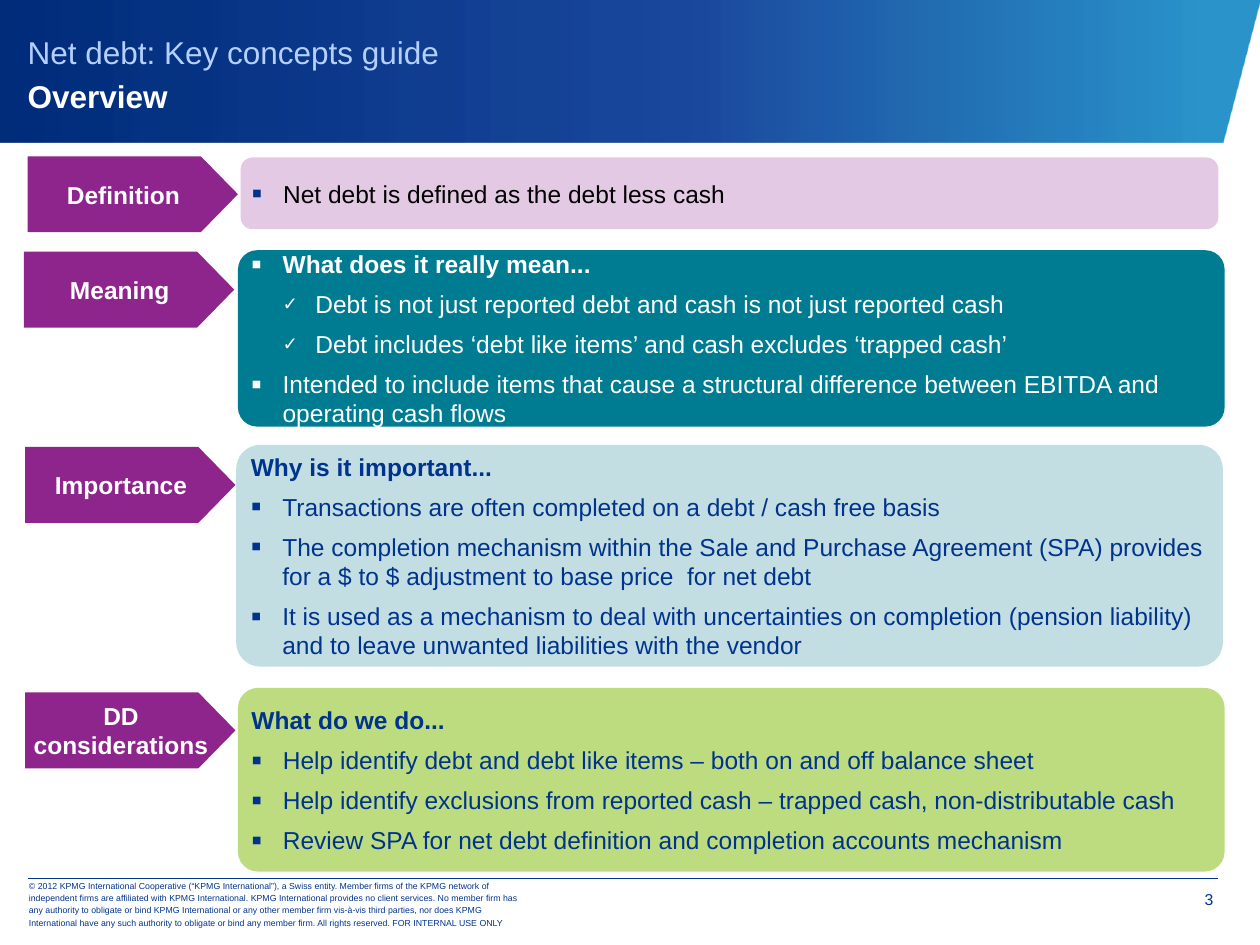
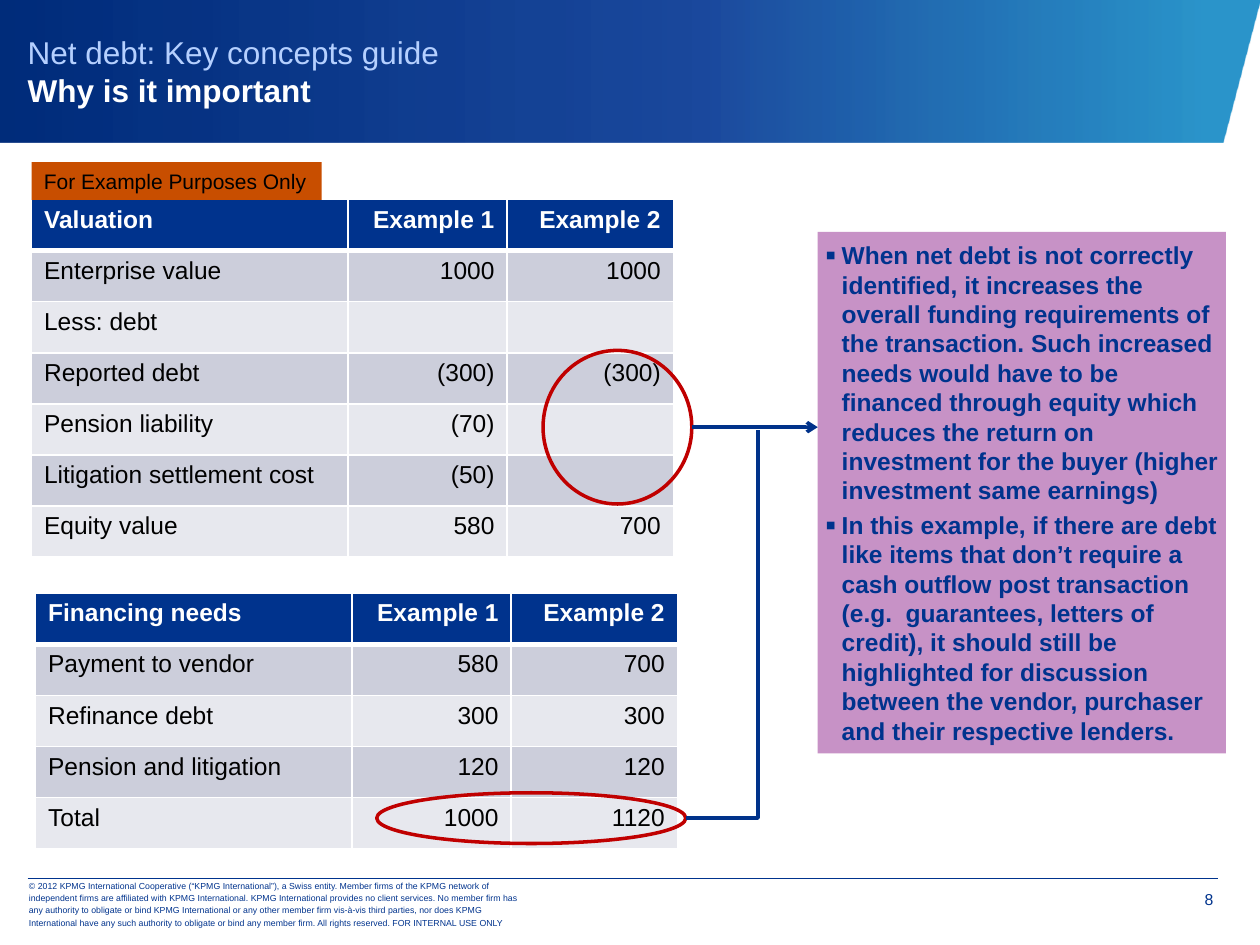
from dataclasses import dataclass
from lxml.etree import SubElement
from pptx import Presentation
from pptx.dml.color import RGBColor
from pptx.enum.shapes import MSO_CONNECTOR, MSO_SHAPE
from pptx.enum.text import MSO_ANCHOR, PP_ALIGN
from pptx.oxml import parse_xml
from pptx.oxml.ns import nsdecls, qn
from pptx.util import Pt


@dataclass(frozen=True)
class Theme:
    font: str = "Arial"
    navy: str = "00338D"
    sky: str = "B5D0FF"
    white: str = "FFFFFF"
    black: str = "000000"
    plum: str = "8E258D"
    pink: str = "E3C9E3"
    teal: str = "007C92"
    ice: str = "C3DEE2"
    lime: str = "BDDC80"
    mauve: str = "C792C6"
    rust: str = "C84E00"
    red: str = "C00000"
    link: str = "00328A"
    bands: tuple = ("E7E8EE", "CCCEDB")
    fade: tuple = ((0, "002C7A", 100), (56, "003492", 89), (96, "0080C0", 83))
    title: int = 18
    body: int = 14
    note: int = 12
    page: int = 9
    legal: int = 5


theme = Theme()
rgb = RGBColor.from_string


def block(slide, kind, area, fill=None, edge=None):
    shape = slide.shapes.add_shape(kind, *map(Pt, area))
    shape.shadow.inherit = False
    if fill:
        shape.fill.solid()
        shape.fill.fore_color.rgb = rgb(fill)
    else:
        shape.fill.background()
    if edge:
        shape.line.color.rgb = rgb(edge)
        shape.line.width = Pt(2)
    else:
        shape.line.fill.background()
    frame = shape.text_frame
    frame.vertical_anchor = MSO_ANCHOR.MIDDLE
    frame.margin_left = frame.margin_right = Pt(4.3)
    frame.margin_top = frame.margin_bottom = Pt(4.3)
    return shape


def write(frame, text, hue, size=theme.body, bold=False, align=PP_ALIGN.LEFT,
          mark=None, gap=0):
    first = not frame.paragraphs[0].runs
    para = frame.paragraphs[0] if first else frame.add_paragraph()
    if mark:
        sign, inset, hang, scale, tint = mark
        props = para._p.get_or_add_pPr()
        props.set("marL", str(Pt(inset)))
        props.set("indent", str(-Pt(hang)))
        color = SubElement(props, qn("a:buClr"))
        SubElement(color, qn("a:srgbClr"), val=tint)
        SubElement(props, qn("a:buSzPct"), val=str(scale * 1000))
        SubElement(props, qn("a:buFont"), typeface=theme.font)
        SubElement(props, qn("a:buChar"), char=sign)
    para.alignment = align
    para.space_before = Pt(0 if first else gap)
    para.font.name = theme.font
    para.font.size = Pt(size)
    para.font.bold = bold
    para.font.color.rgb = rgb(hue)
    para.add_run().text = text
    return para


deck = Presentation()
deck.slide_width, deck.slide_height = Pt(720), Pt(540)

legal = (
    "© 2012 KPMG International Cooperative (“KPMG International”), a Swiss entity. "
    "Member firms of the KPMG network of independent firms are affiliated with KPMG "
    "International. KPMG International provides no client services. No member firm has "
    "any authority to obligate or bind KPMG International or any other member firm "
    "vis-à-vis third parties, nor does KPMG International have any such authority to "
    "obligate or bind any member firm. All rights reserved. FOR INTERNAL USE ONLY"
)

slides = []
for name, page, pitch in (("Overview", "3", Pt(25)), ("Why is it important", "8", None)):
    slide = deck.slides.add_slide(deck.slide_layouts[6])
    slides.append(slide)

    draft = slide.shapes.build_freeform(0, Pt(81.4))
    draft.add_line_segments([(Pt(x), Pt(y)) for x, y in ((698.5, 81.4), (720, 0), (0, 0))])
    band = draft.convert_to_shape()
    band.shadow.inherit = False
    band.line.fill.background()
    band.fill.gradient()
    band.fill.gradient_angle = 0
    stops = band._element.spPr.find(qn("a:gradFill")).find(qn("a:gsLst"))
    for stop in list(stops):
        stops.remove(stop)
    for place, hue, alpha in theme.fade:
        stop = SubElement(stops, qn("a:gs"), pos=str(place * 1000))
        color = SubElement(stop, qn("a:srgbClr"), val=hue)
        SubElement(color, qn("a:alpha"), val=str(alpha * 1000))

    frame = slide.shapes.add_textbox(Pt(653.8), Pt(502.6), Pt(39.6), Pt(22.3)).text_frame
    frame.word_wrap = True
    frame.margin_left = frame.margin_top = Pt(5.8)
    frame.margin_right = frame.margin_bottom = 0
    write(frame, page, theme.navy, theme.page, align=PP_ALIGN.RIGHT)

    frame = slide.shapes.add_textbox(Pt(9.4), Pt(503.6), Pt(298.8), Pt(25.2)).text_frame
    frame.word_wrap = True
    frame.vertical_anchor = MSO_ANCHOR.MIDDLE
    write(frame, legal, theme.navy, theme.legal).line_spacing = Pt(7)

    rule = slide.shapes.add_connector(
        MSO_CONNECTOR.STRAIGHT, Pt(15.8), Pt(501.8), Pt(696.2), Pt(501.8))
    rule.line.color.rgb = rgb(theme.navy)
    rule.line.width = Pt(0.25)
    SubElement(rule._element.spPr, qn("a:effectLst"))

    frame = slide.shapes.add_textbox(Pt(15.8), Pt(9.4), Pt(673.2), Pt(62.6)).text_frame
    frame.word_wrap = True
    frame.vertical_anchor = MSO_ANCHOR.MIDDLE
    frame.margin_left = frame.margin_right = frame.margin_top = frame.margin_bottom = 0
    para = write(frame, "Net debt: Key concepts guide", theme.sky, theme.title)
    para.line_spacing = pitch
    para.add_line_break()
    run = para.add_run()
    run.text = name
    run.font.bold = True
    run.font.color.rgb = rgb(theme.white)

view, case = slides

dot = ("▪", 18, 18, 125, theme.navy)
pale = (*dot[:4], theme.white)
tick = ("✓", 36.7, 18.7, 75, theme.white)
topics = (
    ("Definition", (15.8, 89.3), (137.5, 90, 558.7, 41), theme.pink, theme.black, 0.167, (
        (dot, False, "Net debt is defined as the debt less cash"),
    )),
    ("Meaning", (13.7, 143.8), (136, 143, 563.8, 100.8), theme.teal, theme.white, 0.109, (
        (pale, True, "What does it really mean..."),
        (tick, False, "Debt is not just reported debt and cash is not just reported cash"),
        (tick, False, "Debt includes ‘debt like items’ and cash excludes ‘trapped cash’"),
        (pale, False, "Intended to include items that cause a structural difference "
                      "between EBITDA and operating cash flows"),
    )),
    ("Importance", (14.4, 255.4), (135, 254.2, 563.8, 126.7), theme.ice, theme.navy, 0.109, (
        (None, True, "Why is it important..."),
        (dot, False, "Transactions are often completed on a debt / cash free basis"),
        (dot, False, "The completion mechanism within the Sale and Purchase Agreement "
                     "(SPA) provides for a $ to $ adjustment to base price  for net debt"),
        (dot, False, "It is used as a mechanism to deal with uncertainties on completion "
                     "(pension liability) and to leave unwanted liabilities with the vendor"),
    )),
    ("DD considerations", (14.4, 395.7), (136, 393.1, 563.8, 105), theme.lime, theme.navy, 0.109, (
        (None, True, "What do we do..."),
        (dot, False, "Help identify debt and debt like items – both on and off balance sheet"),
        (dot, False, "Help identify exclusions from reported cash – trapped cash, "
                     "non-distributable cash"),
        (dot, False, "Review SPA for net debt definition and completion accounts mechanism"),
    )),
)
for label, spot, area, fill, hue, curve, lines in topics:
    box = block(view, MSO_SHAPE.ROUNDED_RECTANGLE, area, fill)
    box.adjustments[0] = curve
    for mark, bold, text in lines:
        write(box.text_frame, text, hue, bold=bold, mark=mark, gap=6)
    tag = block(view, MSO_SHAPE.PENTAGON, (*spot, 120.2, 43.4), theme.plum)
    tag.adjustments[0] = 0.489
    write(tag.text_frame, label, theme.white, bold=True, align=PP_ALIGN.CENTER)

tables = (
    ((18, 114), (
        ("Valuation", "Example 1", "Example 2"),
        ("Enterprise value", "1000", "1000"),
        ("Less: debt", "", ""),
        ("Reported debt", "(300)", "(300)"),
        ("Pension liability", "(70)", ""),
        ("Litigation settlement cost", "(50)", ""),
        ("Equity value", "580", "700"),
    )),
    ((20.3, 339), (
        ("Financing needs", "Example 1", "Example 2"),
        ("Payment to vendor", "580", "700"),
        ("Refinance debt", "300", "300"),
        ("Pension and litigation", "120", "120"),
        ("Total", "1000", "1120"),
    )),
)
widths, height = (180.8, 91, 95), 29.2
for (left, top), rows in tables:
    grid = case.shapes.add_table(
        len(rows), len(widths), Pt(left), Pt(top), Pt(sum(widths)), Pt(height * len(rows))).table
    grid.first_row = grid.horz_banding = False
    for col, width in zip(grid.columns, widths):
        col.width = Pt(width)
    for r, row in enumerate(rows):
        grid.rows[r].height = Pt(height)
        for c, text in enumerate(row):
            cell = grid.cell(r, c)
            cell.fill.solid()
            cell.fill.fore_color.rgb = rgb(theme.bands[r % 2] if r else theme.navy)
            thick = {0: "B", 1: "T"}.get(r)
            for n, side in enumerate("LRTB"):
                cell._tc.tcPr.insert(n, parse_xml(
                    f'<a:ln{side} {nsdecls("a")} w="{Pt(3 if side == thick else 1)}">'
                    f'<a:solidFill><a:srgbClr val="{theme.white}"/></a:solidFill></a:ln{side}>'))
            if text:
                write(cell.text_frame, text, theme.black if r else theme.white,
                      bold=r == 0, align=PP_ALIGN.RIGHT if c else PP_ALIGN.LEFT)

for area in ((310.3, 200.2, 85, 87.8), (215.3, 453, 176.6, 29)):
    block(case, MSO_SHAPE.OVAL, area, edge=theme.red)

panel = block(case, MSO_SHAPE.RECTANGLE, (467.3, 132.5, 233.3, 298.1), theme.mauve)
panel.text_frame.margin_right = Pt(2)
for text in (
    "When net debt is not correctly identified, it increases the overall funding "
    "requirements of the transaction. Such increased needs would have to be financed "
    "through equity which reduces the return on investment for the buyer (higher "
    "investment same earnings)",
    "In this example, if there are debt like items that don’t require a cash outflow "
    "post transaction (e.g.  guarantees, letters of credit), it should still be "
    "highlighted for discussion between the vendor, purchaser and their respective lenders.",
):
    write(panel.text_frame, text, theme.navy, bold=True,
          mark=("▪", 9.4, 9.4, 125, theme.navy), gap=2.8)

for kind, ends in (
    (MSO_CONNECTOR.STRAIGHT, (395.3, 244.1, 467.3, 244.1)),
    (MSO_CONNECTOR.ELBOW, (391.9, 467.5, 433.2, 245.5)),
):
    link = case.shapes.add_connector(kind, *map(Pt, ends))
    link.line.color.rgb = rgb(theme.link)
    link.line.width = Pt(2)
    props = link._element.spPr
    if kind == MSO_CONNECTOR.ELBOW:
        props.find(qn("a:prstGeom")).set("prst", "bentConnector2")
    else:
        SubElement(props.find(qn("a:ln")), qn("a:tailEnd"), type="arrow")
    SubElement(props, qn("a:effectLst"))

flag = block(case, MSO_SHAPE.RECTANGLE, (18, 92.6, 165.8, 21.6), theme.rust)
flag.text_frame.word_wrap = False
flag.text_frame.margin_left = flag.text_frame.margin_right = Pt(7.2)
write(flag.text_frame, "For Example Purposes Only", theme.black, theme.note)

deck.save("out.pptx")
